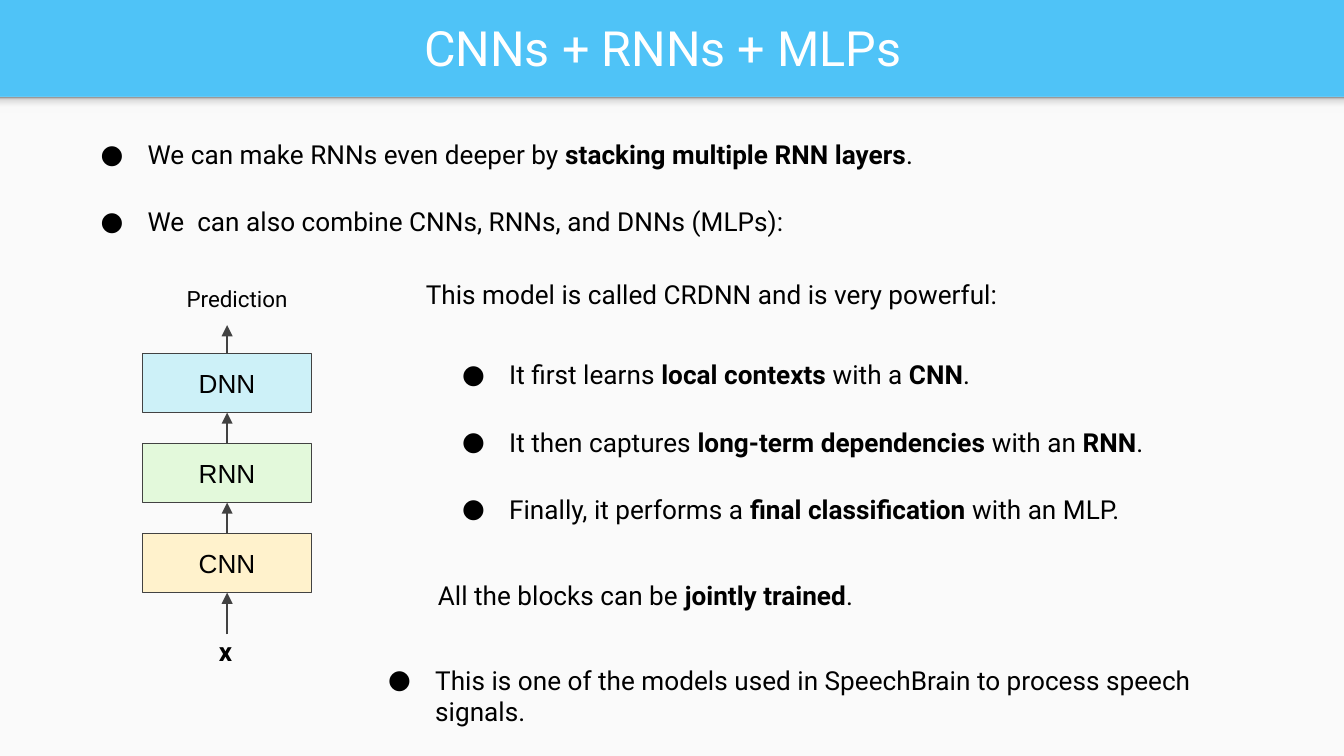
from copy import deepcopy
from dataclasses import dataclass

from lxml import etree
from pptx import Presentation
from pptx import util as u
from pptx.dml.color import RGBColor
from pptx.enum import shapes, text
from pptx.oxml.ns import qn

COLS, ROWS = 100, 56.25  # grid cells of a tenth of an inch
INK, LINE, PAPER, BLUE = "000000", "424242", "FAFAFA", "4FC3F7"
BAND = 7.2  # rows taken by the title band
BOX_COL, BOX_W, BOX_H = 10.6, 12.6, 4.4
BOX_TOP, BOX_PITCH = 26.3, 6.7
MID = BOX_COL + BOX_W / 2


@dataclass
class Note:
    """Text at a grid place; ** switches bold on and off."""
    col: float
    row: float
    width: float
    words: str
    bullet: bool = False
    height: float = 4.4
    size: int = 14


@dataclass
class Block:
    name: str
    fill: str
    alpha: int = 100


NOTES = [
    Note(5, 9.3, 65.2, "We can make RNNs even deeper by **stacking multiple RNN layers**.", True),
    Note(5, 14.3, 84.8, "We  can also combine CNNs, RNNs, and DNNs (MLPs):", True),
    Note(12.9, 20.2, 12.6, "Prediction", height=4, size=12),
    Note(15.3, 46.3, 5.5, "**x**"),
    Note(30.7, 19.7, 58.3, "This model is called CRDNN and is very powerful:"),
    Note(31.6, 42.1, 39, "All the blocks can be **jointly trained**."),
    Note(26.4, 48.4, 68.4,
         "This is one of the models used in SpeechBrain to process speech signals.", True, 6.7),
]
STEPS = [
    "It first learns **local contexts** with a **CNN**.",
    "It then captures **long-term dependencies** with an **RNN**.",
    "Finally, it performs a **final classification** with an MLP.",
]
NOTES += [Note(31.9, 25.7 + 5 * i, 60.5, words, True) for i, words in enumerate(STEPS)]

BLOCKS = [Block("DNN", "29D2F5", 21), Block("RNN", "E3F9DB"), Block("CNN", "FFF2CC")]
GRADIENT = [(0, "F9F9F9"), (0.36, "F9F9F9"), (0.8, "DEDEDE"), (1, "999999")]


def cells(n: float) -> u.Emu:
    return u.Inches(n / 10)


def rgb(value: str) -> RGBColor:
    return RGBColor.from_string(value)


def set_frame(tf, **extra) -> None:
    formats = dict(word_wrap=True, margin_left=cells(1), margin_right=cells(1),
                   margin_top=cells(1), margin_bottom=cells(1)) | extra
    for key, value in formats.items():
        setattr(tf, key, value)


def add_run(p, words: str, size: float, font: str = "Roboto",
            color: str = INK, bold: bool = False) -> None:
    r = p.add_run()
    r.text = words
    for key, value in dict(name=font, size=u.Pt(size), bold=bold).items():
        setattr(r.font, key, value)
    r.font.color.rgb = rgb(color)


def add_bullet(p) -> None:
    pPr = p._p.get_or_add_pPr()
    pPr.set("marL", str(u.Inches(0.5)))
    pPr.set("indent", str(u.Inches(-0.35)))
    color = etree.SubElement(pPr, qn("a:buClr"))
    etree.SubElement(color, qn("a:srgbClr"), val=INK)
    etree.SubElement(pPr, qn("a:buFont"), typeface="Roboto")
    etree.SubElement(pPr, qn("a:buChar"), char="●")


def add_note(s, note: Note) -> None:
    sp = s.shapes.add_textbox(*map(cells, (note.col, note.row, note.width, note.height)))
    set_frame(sp.text_frame, auto_size=text.MSO_AUTO_SIZE.SHAPE_TO_FIT_TEXT)
    p = sp.text_frame.paragraphs[0]
    if note.bullet:
        add_bullet(p)
    for i, part in enumerate(note.words.split("**")):
        if part:
            add_run(p, part, note.size, bold=i % 2 == 1)


def add_rect(s, col: float, row: float, width: float, height: float):
    sp = s.shapes.add_shape(shapes.MSO_SHAPE.RECTANGLE, *map(cells, (col, row, width, height)))
    sp.shadow.inherit = False
    sp.line.fill.background()
    return sp


def add_background(s) -> None:
    s.background.fill.solid()
    s.background.fill.fore_color.rgb = rgb(BLUE)
    page = add_rect(s, 0, BAND, COLS, ROWS - BAND)
    page.fill.solid()
    page.fill.fore_color.rgb = rgb(PAPER)

    shade = add_rect(s, 0, BAND, COLS, 1.2)
    shade.fill.gradient()
    shade.fill.gradient_angle = 90
    stops = shade._element.spPr.find(".//" + qn("a:gsLst"))
    while len(stops) < len(GRADIENT):
        stops.append(deepcopy(stops[0]))
    for stop, (position, color) in zip(shade.fill.gradient_stops, GRADIENT):
        stop.position = position
        stop.color.rgb = rgb(color)


def add_title(s, words: str) -> None:
    sp = s.shapes.add_textbox(*map(cells, (1.1, 0.2, 96.5, 6.6)))
    set_frame(sp.text_frame, vertical_anchor=text.MSO_ANCHOR.MIDDLE)
    p = sp.text_frame.paragraphs[0]
    p.alignment = text.PP_ALIGN.CENTER
    add_run(p, words, 26, color="FFFFFF")


def add_block(s, block: Block, row: float):
    sp = add_rect(s, BOX_COL, row, BOX_W, BOX_H)
    sp.fill.solid()
    sp.fill.fore_color.rgb = rgb(block.fill)
    if block.alpha < 100:
        color = sp._element.spPr.find(qn("a:solidFill"))[0]
        etree.SubElement(color, qn("a:alpha"), val=str(block.alpha * 1000))
    sp.line.color.rgb = rgb(LINE)
    sp.line.width = u.Pt(0.75)
    set_frame(sp.text_frame, vertical_anchor=text.MSO_ANCHOR.MIDDLE)
    p = sp.text_frame.paragraphs[0]
    p.alignment = text.PP_ALIGN.CENTER
    add_run(p, block.name, 14, "Arial")
    return sp


def add_up_arrow(s, start_row: float, end_row: float, lower=None, upper=None) -> None:
    """Draw an upward arrow, joined to the blocks below and above it if given."""
    line = s.shapes.add_connector(shapes.MSO_CONNECTOR.STRAIGHT,
                                  *map(cells, (MID, start_row, MID, end_row)))
    if lower is not None:
        line.begin_connect(lower, 0)
    if upper is not None:
        line.end_connect(upper, 2)
    line.line.color.rgb = rgb(LINE)
    line.line.width = u.Pt(0.75)
    etree.SubElement(line.line._get_or_add_ln(), qn("a:tailEnd"), type="triangle")
    etree.SubElement(line._element.spPr, qn("a:effectLst"))


def add_stack(s) -> None:
    tops = [BOX_TOP + i * BOX_PITCH for i in range(len(BLOCKS))]
    boxes = [add_block(s, block, top) for block, top in zip(BLOCKS, tops)]
    add_up_arrow(s, tops[0], 24.2, lower=boxes[0])
    for upper, lower, top in zip(boxes, boxes[1:], tops):
        add_up_arrow(s, top + BOX_PITCH, top + BOX_H, lower, upper)
    add_up_arrow(s, 47.2, tops[-1] + BOX_H, upper=boxes[-1])


def main() -> None:
    prs = Presentation()
    prs.slide_width, prs.slide_height = cells(COLS), cells(ROWS)
    s = prs.slides.add_slide(prs.slide_layouts[6])
    add_background(s)
    add_title(s, "CNNs + RNNs + MLPs")
    add_stack(s)
    for note in NOTES:
        add_note(s, note)
    prs.save("out.pptx")


if __name__ == "__main__":
    main()
